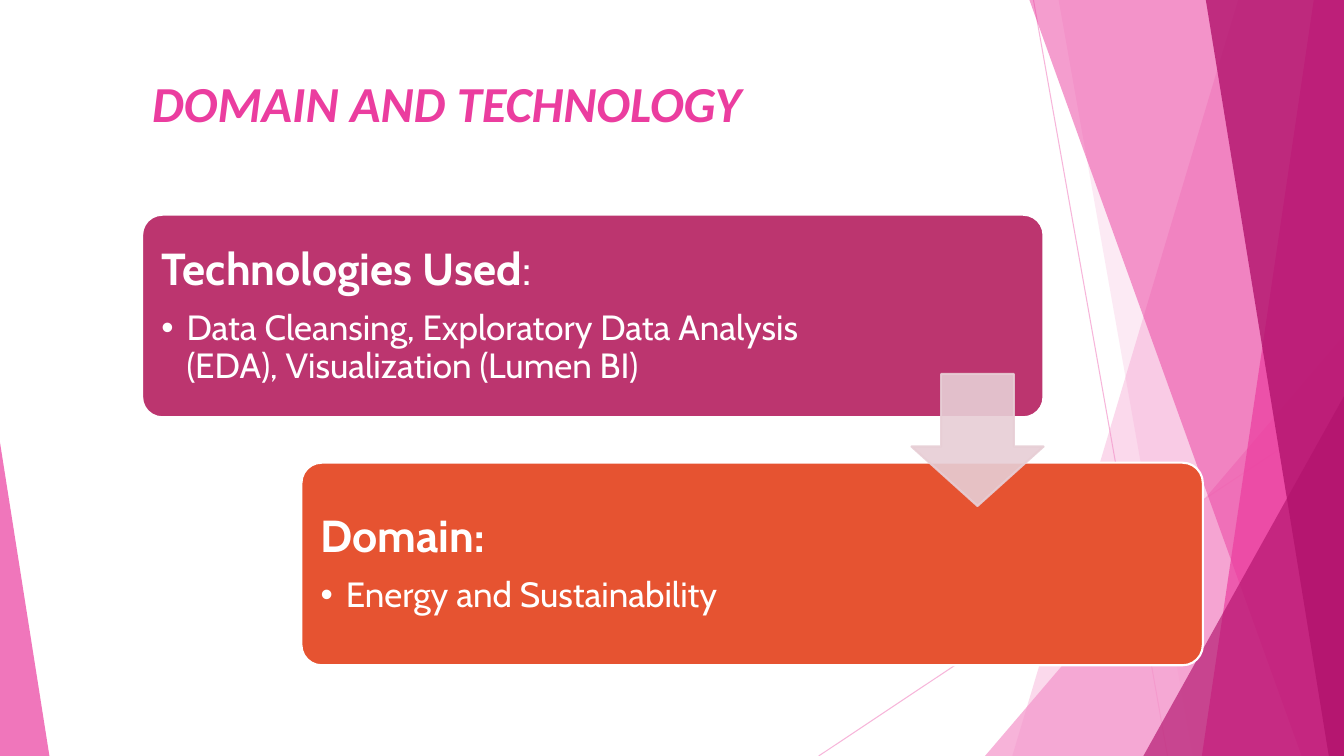
from lxml import etree
from pptx import Presentation
from pptx import util as u
from pptx.dml.color import RGBColor
from pptx.enum import shapes, text
from pptx.oxml.ns import qn

PINK, LIGHT, DARK, WHITE = "EB3D9F", "F496CB", "B2136D", "FFFFFF"
W, H = 13.33, 7.5


def color(fmt, hex_value, alpha=100):
    """Set a solid colour, with opacity in percent, on a fill."""
    fmt.solid()
    fmt.fore_color.rgb = RGBColor.from_string(hex_value)
    if alpha < 100:
        clr = fmt._xPr.find(qn("a:solidFill"))[0]
        etree.SubElement(clr, qn("a:alpha")).set("val", str(alpha * 1000))


def style(sp, fill, alpha=100, line=None):
    sp.shadow.inherit = False
    color(sp.fill, fill, alpha)
    if line:
        color(sp.line.fill, line, alpha)
        sp.line.width = u.Pt(1.5)
    else:
        sp.line.fill.background()


def preset(s, kind, box, adj, *look):
    sp = s.shapes.add_shape(kind, *map(u.Inches, box))
    for i, value in enumerate(adj):
        sp.adjustments[i] = value
    style(sp, *look)
    return sp


def set_font(font, **values):
    color(font.fill, values.pop("color"))
    for name, value in values.items():
        setattr(font, name, value)


def place(sp, box):
    for name, value in zip(("left", "top", "width", "height"), box):
        setattr(sp, name, u.Inches(value))


def backdrop(s, w, h):
    # Hairlines
    for ends in ((10.25, 0, 11.58, h), (w, 4.03, 8.12, h)):
        cx = s.shapes.add_connector(shapes.MSO_CONNECTOR.STRAIGHT, *map(u.Inches, ends))
        color(cx.line.fill, LIGHT, 70)
        cx.line.width = u.Pt(0.75)
        etree.SubElement(cx._element.spPr, qn("a:effectLst"))

    def band(top_x, bottom_x, *look):
        """Full-height panel from a slanted left edge to the right slide edge."""
        fb = s.shapes.build_freeform(u.Inches(top_x), 0)
        fb.add_line_segments([(u.Inches(x), u.Inches(y))
                              for x, y in ((w, 0), (w, h), (bottom_x, h))])
        style(fb.convert_to_shape(), *look)

    def corner(x, y, width, apex, *look):
        """Triangle standing on the bottom slide edge."""
        preset(s, shapes.MSO_SHAPE.ISOSCELES_TRIANGLE, (x, y, width, h - y), [apex], *look)

    # Translucent panels, back to front
    band(12.28, 10.04, LIGHT, 36)
    band(10.5, 11.83, LIGHT, 20)
    corner(9.77, 3.33, w - 9.77, 1, LIGHT, 72)
    band(10.21, 12.91, PINK, 50)
    band(13.03, 11.92, PINK, 70)
    band(11.96, 13.18, DARK, 80)
    corner(11.34, 3.93, w - 11.34, 1, DARK, 66)
    corner(0, 4.39, 0.49, 0, PINK, 70)


def title(s, box, words):
    sp = s.shapes.title
    place(sp, box)
    tf = sp.text_frame
    tf.vertical_anchor = text.MSO_ANCHOR.TOP
    tf.auto_size = text.MSO_AUTO_SIZE.NONE
    p = tf.paragraphs[0]
    p.alignment = text.PP_ALIGN.LEFT
    r = p.add_run()
    r.text = words
    set_font(r.font, name="Calibri", size=u.Pt(36), bold=True, italic=True, color=PINK)


def card(s, box, fill, body, text_w, heading, item):
    """Rounded card with a body placeholder on it; heading is (text, bold) runs."""
    x, y, w, h = box
    preset(s, shapes.MSO_SHAPE.ROUNDED_RECTANGLE, box, [0.1], fill, 100, WHITE)
    place(body, (x + 0.06, y + 0.06, text_w, h - 0.11))
    s.shapes._spTree.append(body._element)  # bring in front of the card
    tf = body.text_frame
    tf.word_wrap = True
    tf.auto_size = text.MSO_AUTO_SIZE.NONE
    tf.vertical_anchor = text.MSO_ANCHOR.MIDDLE
    for side in ("left", "top", "right", "bottom"):
        setattr(tf, f"margin_{side}", u.Inches(0.13))

    rows = ((heading, 32, 11, 0, None), ([(item, False)], 25, 4, 0.25, "•"))
    for i, (runs, size, after, indent, bullet) in enumerate(rows):
        p = tf.add_paragraph() if i else tf.paragraphs[0]
        p.level = i
        pPr = p._p.get_or_add_pPr()
        pPr.set("marL", str(u.Inches(indent)))
        pPr.set("indent", str(u.Inches(-indent)))
        if bullet:
            etree.SubElement(pPr, qn("a:buChar")).set("char", bullet)
        else:
            etree.SubElement(pPr, qn("a:buNone"))
        for name, value in dict(alignment=text.PP_ALIGN.LEFT, line_spacing=0.9,
                                space_before=u.Pt(0), space_after=u.Pt(after)).items():
            setattr(p, name, value)
        for words, bold in runs:
            r = p.add_run()
            r.text = words
            set_font(r.font, name="Cabin", size=u.Pt(size), bold=bold, color=WHITE)


def cascade(s, x, y, w, h):
    """Two stepped cards joined by a down arrow."""
    card_w, card_h, arrow = 8.94, 2.01, 1.31
    bodies = [ph for ph in s.placeholders if ph.placeholder_format.idx in (1, 2)]
    card(s, (x, y, card_w, card_h), "BC356F", bodies[0], 6.86,
         [("Technologies Used", True), (":", False)],
         "Data Cleansing, Exploratory Data Analysis (EDA), Visualization (Lumen BI)")
    card(s, (x + w - card_w, y + h - card_h, card_w, card_h), "E65331", bodies[1], 5.94,
         [("Domain:", True)], "Energy and Sustainability")
    preset(s, shapes.MSO_SHAPE.DOWN_ARROW,
           (x + card_w - arrow, y + 1.58, arrow, arrow), [0.55, 0.45], "E7CED5", 90, "E7CED5")


def main():
    prs = Presentation()
    prs.slide_width, prs.slide_height = u.Inches(W), u.Inches(H)
    s = prs.slides.add_slide(prs.slide_layouts[3])
    backdrop(s, W, H)
    s.shapes._spTree.append(s.shapes.title._element)  # title above the backdrop
    title(s, (1.41, 0.67, 11.15, 1.2), "DOMAIN AND TECHNOLOGY")
    cascade(s, 1.41, 2.13, 10.52, 4.47)
    prs.save("out.pptx")


if __name__ == "__main__":
    main()
